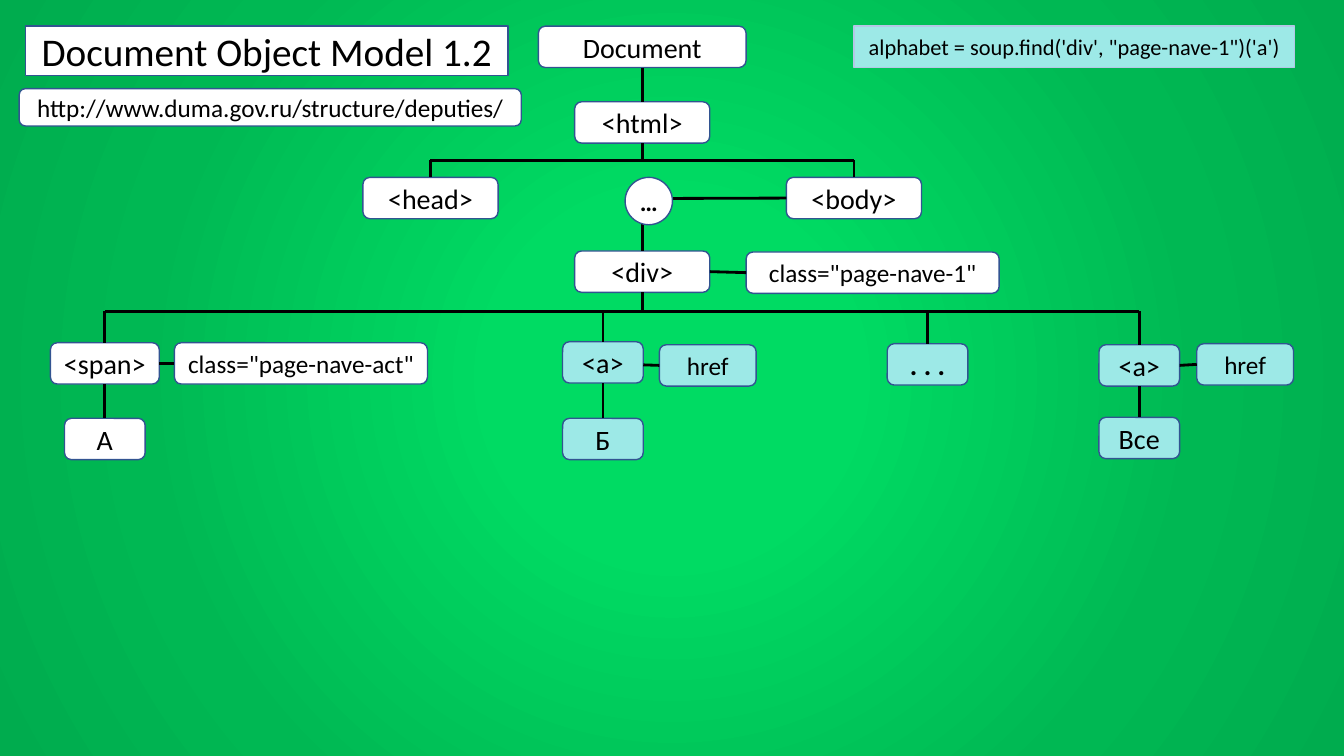
import pptx
import pptx.util
import pptx.dml.color
import pptx.enum.shapes
import pptx.enum.text
import pptx.oxml
import pptx.oxml.ns
import lxml.etree

PX = 9144
BLACK = pptx.dml.color.RGBColor(0x00, 0x00, 0x00)
WHITE = pptx.dml.color.RGBColor(0xFF, 0xFF, 0xFF)
AQUA = pptx.dml.color.RGBColor(0x9D, 0xE9, 0xE7)
NAVY = pptx.dml.color.RGBColor(0x32, 0x54, 0x91)
PALE_BLUE = pptx.dml.color.RGBColor(0xB4, 0xC7, 0xE7)
GREENS = [
    (0, pptx.dml.color.RGBColor(0x00, 0xDB, 0x63)),
    (23, pptx.dml.color.RGBColor(0x00, 0xDB, 0x63)),
    (69, pptx.dml.color.RGBColor(0x00, 0xB8, 0x53)),
    (100, pptx.dml.color.RGBColor(0x00, 0xAC, 0x4E)),
]
SHAPES = pptx.enum.shapes.MSO_SHAPE
TOP, LEFT, BOTTOM, RIGHT = range(4)


def style_box(shape, text, fill, size, bold=False, line=NAVY):
    shape.fill.solid()
    shape.fill.fore_color.rgb = fill
    shape.line.color.rgb = line
    shape.line.width = pptx.util.Pt(1)
    frame = shape.text_frame
    frame_format = {
        "margin_left": 0, "margin_right": 0, "margin_top": 0, "margin_bottom": 0,
        "word_wrap": False,
        "auto_size": pptx.enum.text.MSO_AUTO_SIZE.NONE,
        "vertical_anchor": pptx.enum.text.MSO_ANCHOR.MIDDLE,
    }
    for name, value in frame_format.items():
        setattr(frame, name, value)
    paragraph = frame.paragraphs[0]
    paragraph.alignment = pptx.enum.text.PP_ALIGN.CENTER
    run = paragraph.add_run()
    run.text = text
    font_format = {"name": "Calibri", "size": pptx.util.Pt(size), "bold": bold}
    for name, value in font_format.items():
        setattr(run.font, name, value)
    run.font.color.rgb = BLACK


def add_box(kind, left, top, width, height, *style, **options):
    shape = slide.shapes.add_shape(kind, left * PX, top * PX, width * PX, height * PX)
    shape.shadow.inherit = False
    style_box(shape, *style, **options)
    return shape


presentation = pptx.Presentation()
presentation.slide_width = 1333 * PX
presentation.slide_height = 750 * PX
slide = presentation.slides.add_slide(presentation.slide_layouts[5])

slide.background.fill.solid()
solid_fill = slide.element.find(".//" + pptx.oxml.ns.qn("p:bgPr"))[0]
stops = "".join(
    f'<a:gs pos="{position * 1000}"><a:srgbClr val="{color}"/></a:gs>'
    for position, color in GREENS
)
gradient = pptx.oxml.parse_xml(
    f'<a:gradFill {pptx.oxml.ns.nsdecls("a")} rotWithShape="1"><a:gsLst>{stops}</a:gsLst>'
    '<a:path path="circle"><a:fillToRect l="50000" t="50000" r="50000" b="50000"/></a:path>'
    '</a:gradFill>'
)
solid_fill.getparent().replace(solid_fill, gradient)

title = slide.shapes.title
for name, value in {"left": 25, "top": 26, "width": 479, "height": 49}.items():
    setattr(title, name, value * PX)
title_outline = lxml.etree.SubElement(
    title.element.spPr, pptx.oxml.ns.qn("a:prstGeom"), prst="roundRect"
)
lxml.etree.SubElement(title_outline, pptx.oxml.ns.qn("a:avLst"))
style_box(title, "Document Object Model 1.2", WHITE, 28)

add_box(SHAPES.ROUNDED_RECTANGLE, 19, 88, 498, 37,
        "http://www.duma.gov.ru/structure/deputies/", WHITE, 18)
add_box(SHAPES.RECTANGLE, 847, 26, 437, 41,
        "alphabet = soup.find('div', \"page-nave-1\")('a')", AQUA, 16, line=PALE_BLUE)

NODES = {
    "document": (534, 26, 206, "Document", WHITE, 20),
    "html": (570, 101, 134, "<html>", WHITE, 20),
    "head": (360, 176, 134, "<head>", WHITE, 20),
    "body": (780, 176, 134, "<body>", WHITE, 20),
    "div": (570, 249, 134, "<div>", WHITE, 20),
    "div class": (740, 250, 251, 'class="page-nave-1"', WHITE, 18),
    "span": (50, 340, 108, "<span>", WHITE, 20),
    "span class": (173, 340, 251, 'class="page-nave-act"', WHITE, 18),
    "span text": (64, 415, 80, "А", WHITE, 20),
    "first a": (558, 339, 80, "<a>", AQUA, 20),
    "first href": (654, 342, 96, "href", AQUA, 18),
    "first text": (558, 415, 80, "Б", AQUA, 20),
    "more a": (880, 341, 80, ". . .", AQUA, 20, True),
    "last a": (1090, 342, 80, "<a>", AQUA, 20),
    "last href": (1187, 341, 96, "href", AQUA, 18),
    "last text": (1090, 414, 80, "Все", AQUA, 20),
}
boxes = {}
for name, (left, top, width, *style) in NODES.items():
    boxes[name] = add_box(SHAPES.ROUNDED_RECTANGLE, left, top, width, 41, *style)

LINKS = [
    (("document", BOTTOM), ("html", TOP)),
    (("html", BOTTOM), (637, 159)),
    ((427, 159), (847, 159)),
    ((427, 159), ("head", TOP)),
    ((847, 159), ("body", TOP)),
    (("body", LEFT), (637, 197)),
    ((637, 195), ("div", TOP)),
    (("div", RIGHT), ("div class", LEFT)),
    (("div", BOTTOM), (637, 309)),
    ((104, 309), (1130, 309)),
    ((104, 309), ("span", TOP)),
    ((598, 309), ("first a", TOP)),
    ((920, 309), ("more a", TOP)),
    ((1130, 309), ("last a", TOP)),
    (("span", RIGHT), ("span class", LEFT)),
    (("span", BOTTOM), ("span text", TOP)),
    ((638, 362), ("first href", LEFT)),
    (("first a", BOTTOM), ("first text", TOP)),
    (("last a", RIGHT), ("last href", LEFT)),
    (("last a", BOTTOM), ("last text", TOP)),
]
for start, end in LINKS:
    points = [(0, 0) if point[0] in boxes else point for point in (start, end)]
    connector = slide.shapes.add_connector(
        pptx.enum.shapes.MSO_CONNECTOR.STRAIGHT,
        *(value * PX for point in points for value in point),
    )
    if start[0] in boxes:
        connector.begin_connect(boxes[start[0]], start[1])
    if end[0] in boxes:
        connector.end_connect(boxes[end[0]], end[1])
    connector.line.color.rgb = BLACK
    connector.line.width = pptx.util.Pt(2)
    lxml.etree.SubElement(connector.element.spPr, pptx.oxml.ns.qn("a:effectLst"))

add_box(SHAPES.OVAL, 620, 176, 47, 47, "…", WHITE, 18, True)

presentation.save("out.pptx")
